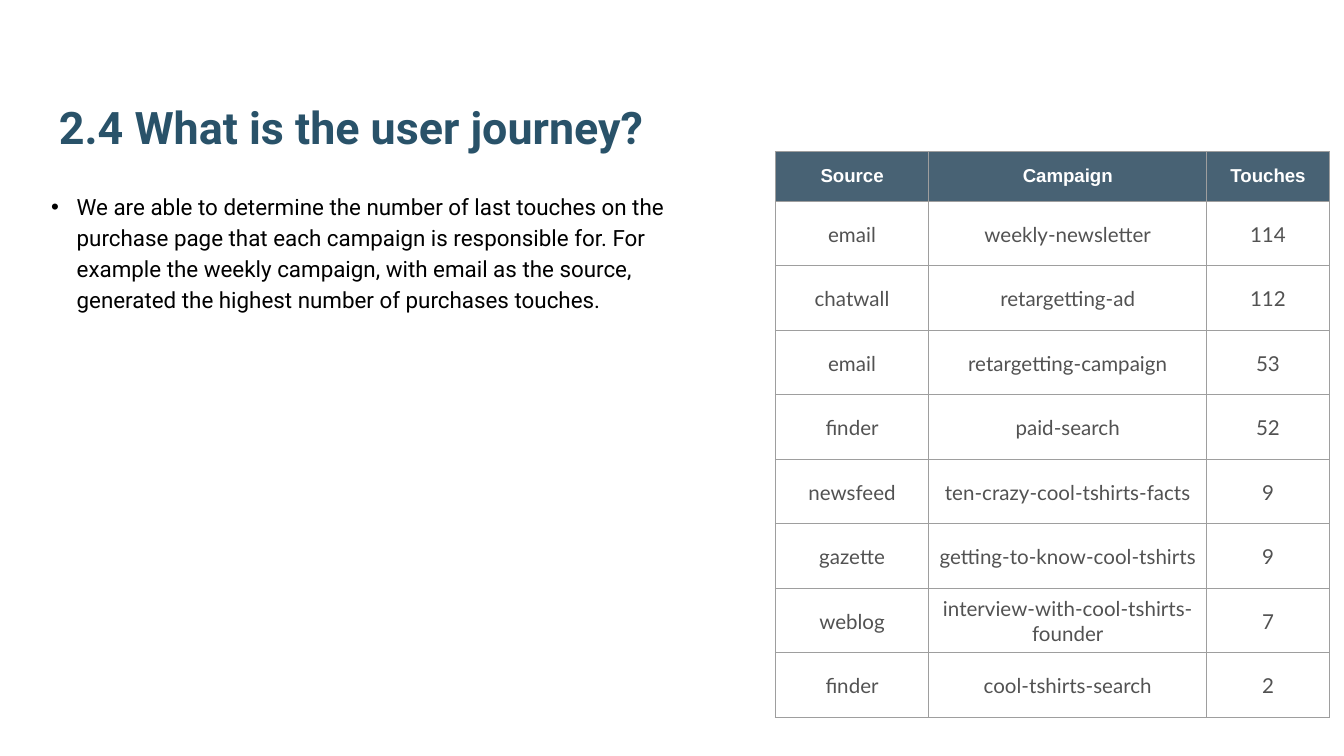
from dataclasses import dataclass

from lxml import etree
from pptx import Presentation
from pptx import util as u
from pptx.dml.color import RGBColor
from pptx.enum import text
from pptx.oxml import ns


@dataclass(frozen=True)
class Theme:
    title_color: str = "295269"
    body_color: str = "000000"
    header_fill: str = "204056"
    header_opacity: int = 82
    header_color: str = "FFFFFF"
    cell_color: str = "525252"
    border_color: str = "9E9E9E"
    border_width: float = 0.75
    main_font: str = "Roboto"
    header_font: str = "Arial"
    cell_font: str = "Lato"
    title_size: int = 24
    body_size: int = 12
    header_size: int = 10
    cell_size: int = 11


THEME = Theme()

TITLE = "2.4 What is the user journey?"
FINDING = (
    "We are able to determine the number of last touches on the purchase page "
    "that each campaign is responsible for. For example the weekly campaign, "
    "with email as the source, generated the highest number of purchases touches."
)
TOUCHES = [
    ("Source", "Campaign", "Touches"),
    ("email", "weekly-newsletter", "114"),
    ("chatwall", "retargetting-ad", "112"),
    ("email", "retargetting-campaign", "53"),
    ("finder", "paid-search", "52"),
    ("newsfeed", "ten-crazy-cool-tshirts-facts", "9"),
    ("gazette", "getting-to-know-cool-tshirts", "9"),
    ("weblog", "interview-with-cool-tshirts-founder", "7"),
    ("finder", "cool-tshirts-search", "2"),
]
COLUMN_WIDTHS = (1.14, 2.07, 0.91)
HEADER_HEIGHT, ROW_HEIGHT = 0.36, 0.48


def add_element(parent, tag, **attributes):
    return etree.SubElement(parent, ns.qn(tag), attributes)


def add_run(paragraph, content, font, size, color, bold=False):
    run = paragraph.add_run()
    run.text = content
    run.font.name = font
    run.font.size = u.Pt(size)
    run.font.bold = bold
    run.font.color.rgb = RGBColor.from_string(color)


def set_margins(target, left, top, right, bottom):
    target.margin_left, target.margin_top = u.Inches(left), u.Inches(top)
    target.margin_right, target.margin_bottom = u.Inches(right), u.Inches(bottom)


def add_text_box(slide, box, anchor, left_margin):
    """Add a wrapping text box and return its first paragraph."""
    frame = slide.shapes.add_textbox(*map(u.Inches, box)).text_frame
    frame.word_wrap = True
    frame.vertical_anchor = anchor
    set_margins(frame, left_margin, 0.1, 0.1, 0.1)
    return frame.paragraphs[0]


def add_bullet(paragraph, indent):
    properties = paragraph._p.get_or_add_pPr()
    properties.set("marL", str(u.Inches(indent)))
    properties.set("indent", str(-u.Inches(indent)))
    color = add_element(properties, "a:buClr")
    add_element(color, "a:srgbClr", val=THEME.body_color)
    add_element(properties, "a:buFont", typeface="Arial")
    add_element(properties, "a:buChar", char="•")


def add_borders(cell):
    properties = cell._tc.get_or_add_tcPr()
    for side in ("a:lnL", "a:lnR", "a:lnT", "a:lnB"):
        line = add_element(properties, side, w=str(u.Pt(THEME.border_width)))
        fill = add_element(line, "a:solidFill")
        add_element(fill, "a:srgbClr", val=THEME.border_color)


def fill_header(cell):
    cell.fill.solid()
    cell.fill.fore_color.rgb = RGBColor.from_string(THEME.header_fill)
    color = cell._tc.tcPr.find(ns.qn("a:solidFill"))[0]
    add_element(color, "a:alpha", val=str(THEME.header_opacity * 1000))


def format_cell(cell, content, is_header):
    add_borders(cell)
    paragraph = cell.text_frame.paragraphs[0]
    paragraph.alignment = text.PP_ALIGN.CENTER
    if is_header:
        fill_header(cell)
        set_margins(cell, 0.1, 0.1, 0.1, 0.1)
        add_run(paragraph, content, THEME.header_font, THEME.header_size,
                THEME.header_color, bold=True)
    else:
        cell.fill.background()
        cell.vertical_anchor = text.MSO_ANCHOR.MIDDLE
        set_margins(cell, 0.01, 0.01, 0.01, 0)
        add_run(paragraph, content, THEME.cell_font, THEME.cell_size,
                THEME.cell_color)


def add_touch_table(slide, left, top):
    heights = [HEADER_HEIGHT] + [ROW_HEIGHT] * (len(TOUCHES) - 1)
    box = (left, top, sum(COLUMN_WIDTHS), sum(heights))
    table = slide.shapes.add_table(
        len(TOUCHES), len(COLUMN_WIDTHS), *map(u.Inches, box)).table
    table.horz_banding = False
    for column, width in zip(table.columns, COLUMN_WIDTHS):
        column.width = u.Inches(width)
    for row, height in zip(table.rows, heights):
        row.height = u.Inches(height)
    for row_index, values in enumerate(TOUCHES):
        for column_index, value in enumerate(values):
            format_cell(table.cell(row_index, column_index), value, row_index == 0)


def main():
    # Widescreen slide, 16:9
    presentation = Presentation()
    presentation.slide_width = u.Inches(10)
    presentation.slide_height = u.Inches(10) * 9 // 16
    slide = presentation.slides.add_slide(presentation.slide_layouts[6])

    # Title
    title = add_text_box(slide, (0.34, 0.32, 9.32, 0.92), text.MSO_ANCHOR.BOTTOM, 0.1)
    add_run(title, TITLE, THEME.main_font, THEME.title_size, THEME.title_color, bold=True)

    # Finding
    finding = add_text_box(slide, (0.19, 1.31, 5.38, 4.21), text.MSO_ANCHOR.TOP, 0.19)
    finding.line_spacing = 1.15
    add_bullet(finding, 0.19)
    add_run(finding, FINDING, THEME.main_font, THEME.body_size, THEME.body_color)

    # Last touches by campaign
    add_touch_table(slide, 5.77, 1.13)

    presentation.save("out.pptx")


if __name__ == "__main__":
    main()
